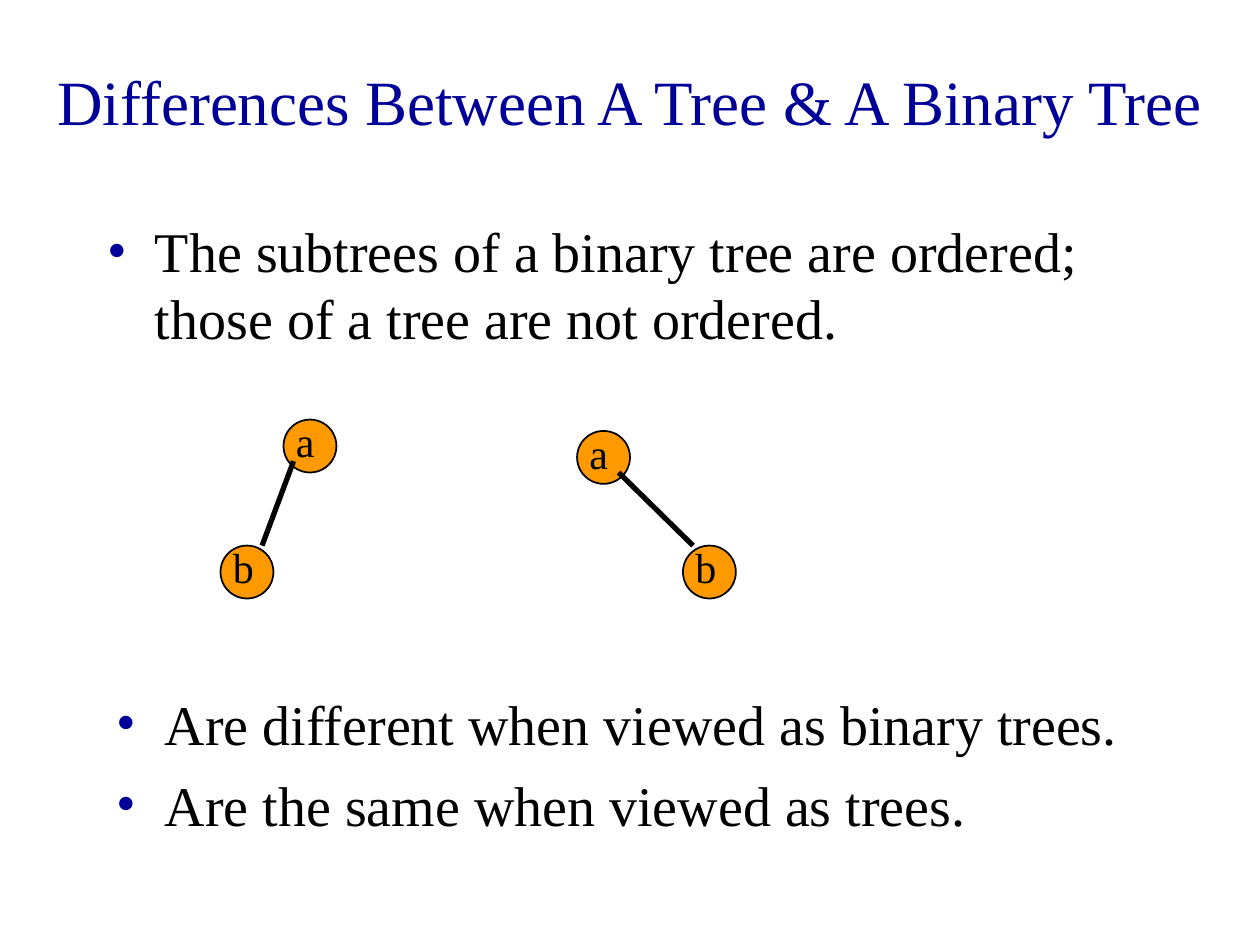
from dataclasses import dataclass

from lxml import etree
from pptx import Presentation
from pptx.dml.color import RGBColor
from pptx.enum.shapes import MSO_CONNECTOR, MSO_SHAPE
from pptx.enum.text import MSO_ANCHOR, MSO_AUTO_SIZE, PP_ALIGN
from pptx.oxml.ns import qn
from pptx.util import Inches, Pt

OVAL = MSO_SHAPE.OVAL
STRAIGHT = MSO_CONNECTOR.STRAIGHT
MIDDLE, TOP = MSO_ANCHOR.MIDDLE, MSO_ANCHOR.TOP
NO_FIT = MSO_AUTO_SIZE.NONE
LEFT, CENTER = PP_ALIGN.LEFT, PP_ALIGN.CENTER


@dataclass(frozen=True)
class Theme:
    font: str = "Times New Roman"
    accent: str = "000099"
    ink: str = "000000"
    node: str = "FF9900"
    title_size: int = 36
    list_size: int = 32
    label_size: int = 24
    outline: float = 1
    edge: float = 3


THEME = Theme()
NODE_SIZE = 0.42


def rgb(color):
    return RGBColor.from_string(color)


def place(shape, box):
    shape.left, shape.top, shape.width, shape.height = map(Inches, box)


def prepare_frame(frame, anchor):
    frame.word_wrap = True
    frame.auto_size = NO_FIT
    frame.vertical_anchor = anchor


def style_paragraph(paragraph, size, color, align, before=0):
    paragraph.alignment = align
    paragraph.space_before = Pt(before)
    for run in paragraph.runs:
        run.font.name = THEME.font
        run.font.size = Pt(size)
        run.font.color.rgb = rgb(color)


def add_bullet(paragraph):
    properties = paragraph._p.get_or_add_pPr()
    properties.set("marL", str(Inches(0.38)))
    properties.set("indent", str(Inches(-0.38)))
    color = etree.SubElement(properties, qn("a:buClr"))
    etree.SubElement(color, qn("a:srgbClr"), val=THEME.accent)
    etree.SubElement(properties, qn("a:buFont"), typeface=THEME.font)
    etree.SubElement(properties, qn("a:buChar"), char="•")


def fill_title(title, box, wording):
    place(title, box)
    prepare_frame(title.text_frame, MIDDLE)
    title.text_frame.text = wording
    style_paragraph(title.text_frame.paragraphs[0], THEME.title_size, THEME.accent, CENTER)


def fill_list(holder, box, points):
    place(holder, box)
    frame = holder.text_frame
    prepare_frame(frame, TOP)
    frame.text = "\n".join(points)
    for paragraph in frame.paragraphs:
        style_paragraph(paragraph, THEME.list_size, THEME.ink, LEFT, before=8)
        add_bullet(paragraph)


def add_node(tree, left, top):
    node = tree.shapes.add_shape(OVAL, 0, 0, 0, 0)
    place(node, (left, top, NODE_SIZE, NODE_SIZE))
    node.shadow.inherit = False
    node.fill.solid()
    node.fill.fore_color.rgb = rgb(THEME.node)
    node.line.color.rgb = rgb(THEME.ink)
    node.line.width = Pt(THEME.outline)


def add_label(tree, left, top, letter):
    label = tree.shapes.add_textbox(0, 0, 0, 0)
    place(label, (left, top - 0.08, 0.33, 0.5))
    prepare_frame(label.text_frame, TOP)
    label.text_frame.text = letter
    style_paragraph(label.text_frame.paragraphs[0], THEME.label_size, THEME.ink, LEFT, before=15)


def add_edge(tree, start, end):
    edge = tree.shapes.add_connector(STRAIGHT, *map(Inches, start + end))
    edge.line.color.rgb = rgb(THEME.ink)
    edge.line.width = Pt(THEME.edge)
    etree.SubElement(edge._element.spPr, qn("a:effectLst"))


def add_tree(slide, box, child_on_left):
    left, top, width, height = box
    low = top + height - NODE_SIZE
    near, far = left, left + width - NODE_SIZE
    parent_left, child_left = (far, near) if child_on_left else (near, far)
    parent_inset, child_inset = (0.08, 0.33) if child_on_left else (0.33, 0.08)
    tree = slide.shapes.add_group_shape()
    nodes = (("a", parent_left, top), ("b", child_left, low))
    for letter, node_left, node_top in nodes:
        add_node(tree, node_left, node_top)
    add_edge(tree, (parent_left + parent_inset, top + 0.33), (child_left + child_inset, low))
    for letter, node_left, node_top in nodes:
        add_label(tree, node_left, node_top, letter)


def main():
    deck = Presentation()
    deck.slide_width, deck.slide_height = Inches(10), Inches(7.5)
    slide = deck.slides.add_slide(deck.slide_layouts[1])
    fill_title(slide.shapes.title, (0, 0.17, 10, 1.25),
               "Differences Between A Tree & A Binary Tree")
    fill_list(slide.placeholders[1], (0.75, 1.67, 8.5, 1.33),
              ["The subtrees of a binary tree are ordered; those of a tree are not ordered."])
    add_tree(slide, (1.75, 3.33, 0.92, 1.42), child_on_left=True)
    add_tree(slide, (4.58, 3.42, 1.26, 1.33), child_on_left=False)
    conclusions = slide.shapes.add_textbox(0, 0, 0, 0)
    fill_list(conclusions, (0.83, 5.42, 8.5, 1.33),
              ["Are different when viewed as binary trees.",
               "Are the same when viewed as trees."])
    deck.save("out.pptx")


if __name__ == "__main__":
    main()
